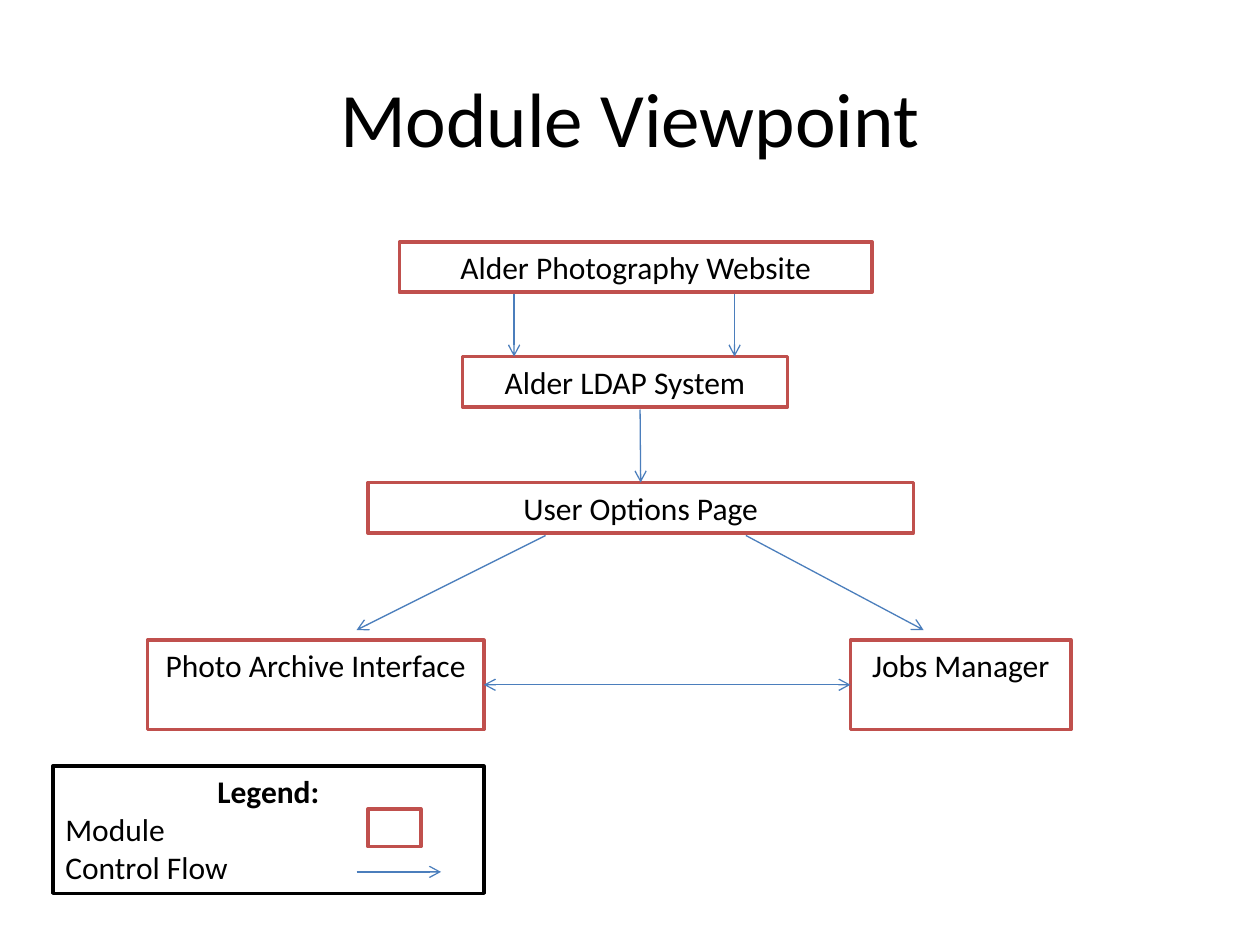
"""Build the Module Viewpoint slide."""
from pptx import Presentation
from pptx.dml.color import RGBColor
from pptx.enum.shapes import MSO_CONNECTOR as CONN, MSO_SHAPE as SHAPE
from pptx.enum.text import MSO_ANCHOR as ANCHOR, PP_ALIGN as ALIGN
from pptx.oxml.ns import qn
from pptx.util import Inches, Pt
from lxml.etree import SubElement

RED, BLUE, BLACK, WHITE = "C0504D", "4B7EBC", "000000", "FFFFFF"
TOP, LEFT, RIGHT = 0, 1, 3


def rgb(color):
    """Turn a hex string into a colour."""
    return RGBColor.from_string(color)


def add_text(tf, text, first=False, size=18, bold=False, align=ALIGN.CENTER):
    """Write one formatted paragraph into a text frame."""
    p = tf.paragraphs[0] if first else tf.add_paragraph()
    p.alignment = align
    r = p.add_run()
    r.text = text
    r.font.name = "Calibri"
    r.font.size = Pt(size)
    r.font.bold = bold
    r.font.color.rgb = rgb(BLACK)


def add_box(s, x, y, w, h, text=None, line=RED, **fmt):
    """Add a white outlined rectangle with optional text at its top."""
    sp = s.shapes.add_shape(SHAPE.RECTANGLE, Inches(x), Inches(y), Inches(w), Inches(h))
    sp.shadow.inherit = False
    sp.fill.solid()
    sp.fill.fore_color.rgb = rgb(WHITE)
    sp.line.color.rgb = rgb(line)
    sp.line.width = Pt(2)
    tf = sp.text_frame
    tf.word_wrap = True
    tf.vertical_anchor = ANCHOR.TOP
    if text:
        add_text(tf, text, first=True, **fmt)
    return sp


def add_arrow(s, x1, y1, x2, y2, begin=None, end=None, both=False):
    """Add a control flow arrow, joined to (shape, site) pairs if given."""
    cn = s.shapes.add_connector(CONN.STRAIGHT, Inches(x1), Inches(y1), Inches(x2), Inches(y2))
    if begin:
        cn.begin_connect(*begin)
    if end:
        cn.end_connect(*end)
    cn.line.color.rgb = rgb(BLUE)
    cn.line.width = Pt(0.75)
    ln = cn.line._get_or_add_ln()
    for tag in ("a:headEnd", "a:tailEnd") if both else ("a:tailEnd",):
        SubElement(ln, qn(tag), type="arrow")
    SubElement(cn._element.spPr, qn("a:effectLst"))


def add_title(s, text):
    """Add the slide title."""
    tf = s.shapes.add_textbox(Inches(0.5), Inches(0.3), Inches(9), Inches(1.25)).text_frame
    tf.word_wrap = True
    tf.vertical_anchor = ANCHOR.MIDDLE
    add_text(tf, text, first=True, size=44)


def add_legend(s):
    """Add the legend with its two samples."""
    tf = add_box(s, 0.42, 6.08, 3.42, 1.01, "Legend:", line=BLACK, bold=True).text_frame
    for label in ("Module", "Control Flow"):
        add_text(tf, label, align=ALIGN.LEFT)
    add_box(s, 2.92, 6.42, 0.42, 0.3)
    add_arrow(s, 2.83, 6.92, 3.5, 6.92)


def main():
    """Build and save the slide."""
    prs = Presentation()
    prs.slide_width, prs.slide_height = Inches(10), Inches(7.5)
    s = prs.slides.add_slide(prs.slide_layouts[6])
    add_title(s, "Module Viewpoint")
    add_box(s, 3.17, 1.92, 3.75, 0.4, "Alder Photography Website")
    archive = add_box(s, 1.17, 5.08, 2.67, 0.71, "Photo Archive Interface")
    jobs = add_box(s, 6.75, 5.08, 1.75, 0.71, "Jobs Manager")
    add_box(s, 3.67, 2.83, 2.58, 0.4, "Alder LDAP System")
    options = add_box(s, 2.92, 3.83, 4.33, 0.4, "User Options Page")
    for x in (4.08, 5.83):
        add_arrow(s, x, 2.33, x, 2.83)
    add_arrow(s, 5.08, 3.25, 5.08, 3.83, end=(options, TOP))
    for x1, x2 in ((4.33, 2.83), (5.92, 7.33)):
        add_arrow(s, x1, 4.25, x2, 5)
    add_arrow(s, 3.83, 5.44, 6.75, 5.44, begin=(archive, RIGHT), end=(jobs, LEFT), both=True)
    add_legend(s)
    prs.save("out.pptx")


if __name__ == "__main__":
    main()
